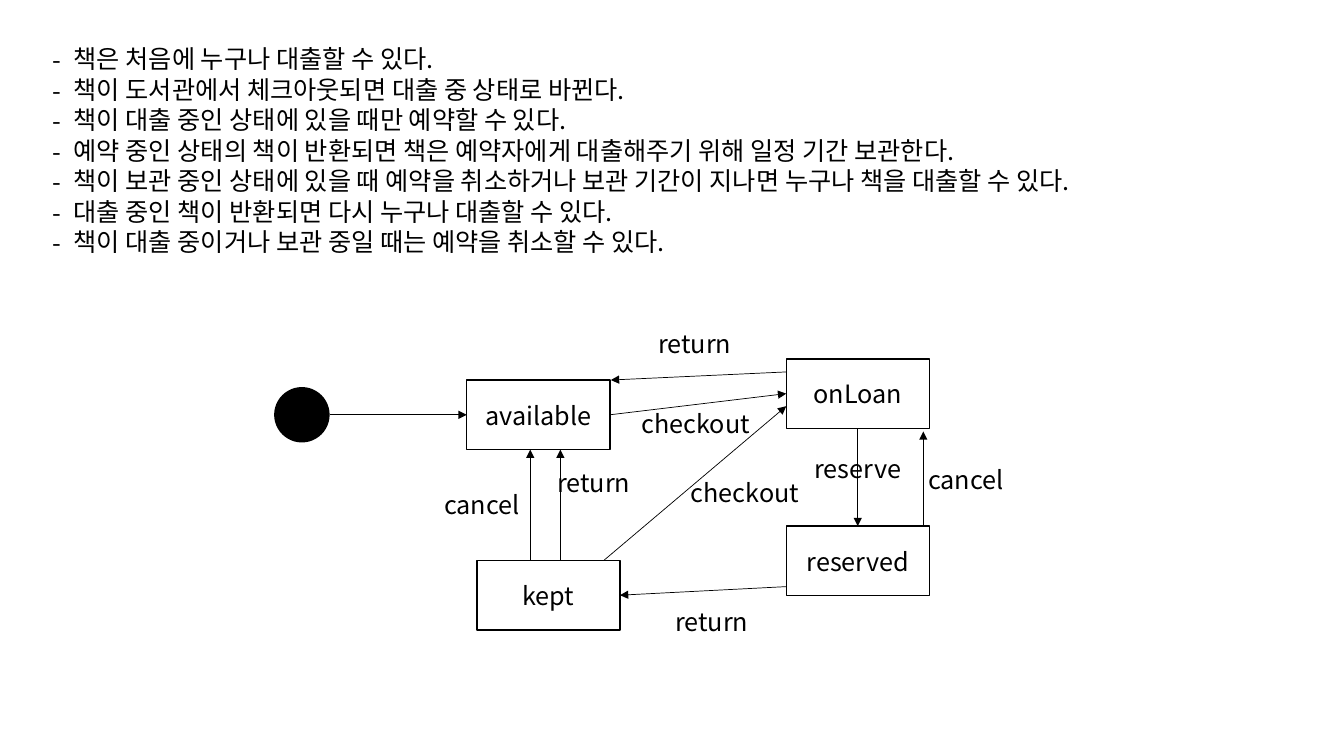
from lxml import etree
from pptx import Presentation
from pptx.dml.color import RGBColor
from pptx.enum.shapes import MSO_CONNECTOR, MSO_SHAPE
from pptx.enum.text import MSO_ANCHOR, MSO_AUTO_SIZE, PP_ALIGN
from pptx.oxml.ns import qn
from pptx.util import Inches, Pt

RECT, OVAL = MSO_SHAPE.RECTANGLE, MSO_SHAPE.OVAL
STRAIGHT = MSO_CONNECTOR.STRAIGHT
TOP, MIDDLE = MSO_ANCHOR.TOP, MSO_ANCHOR.MIDDLE
NO_FIT = MSO_AUTO_SIZE.NONE
LEFT, CENTER = PP_ALIGN.LEFT, PP_ALIGN.CENTER
BLACK = RGBColor(0, 0, 0)
FONT = "Noto Sans CJK KR"
W, H = Inches(13.33), Inches(7.5)
COL, ROW = W / 100, H / 100
BOX_W, BOX_H, LABEL_H = 10.65, 9.2, 5.33
SITE_TOP, SITE_LEFT, SITE_BOTTOM, SITE_RIGHT = range(4)

RULES = [
    "책은 처음에 누구나 대출할 수 있다.",
    "책이 도서관에서 체크아웃되면 대출 중 상태로 바뀐다.",
    "책이 대출 중인 상태에 있을 때만 예약할 수 있다.",
    "예약 중인 상태의 책이 반환되면 책은 예약자에게 대출해주기 위해 일정 기간 보관한다.",
    "책이 보관 중인 상태에 있을 때 예약을 취소하거나 보관 기간이 지나면 누구나 책을 대출할 수 있다.",
    "대출 중인 책이 반환되면 다시 누구나 대출할 수 있다.",
    "책이 대출 중이거나 보관 중일 때는 예약을 취소할 수 있다.",
]
STATES = {
    "reserved": (58.5, 69.6),
    "available": (34.73, 50.27),
    "onLoan": (58.5, 47.47),
    "kept": (35.48, 74.13),
}
LABELS = [
    ("return", 46.36, 42.67),
    ("checkout", 46.44, 53.33),
    ("checkout", 50.11, 62.4),
    ("reserve", 58.5, 59.2),
    ("cancel", 66.54, 60.67),
    ("return", 47.64, 79.47),
    ("cancel", 30.53, 64),
    ("return", 38.86, 61.07),
]
ARROWS = [
    ((24.53, 54.87), ("available", SITE_LEFT)),
    ((58.5, 49.2), (45.45, 50.27)),
    ((58.5, 77.6), ("kept", SITE_RIGHT)),
    ((68.7, 69.6), (68.7, 57.07)),
    ((41.7, 74.13), (41.7, 59.47)),
    ((39.45, 74.13), (39.45, 59.47)),
    ((44.93, 74.13), (58.5, 53.73)),
    (("available", SITE_RIGHT), ("onLoan", SITE_LEFT)),
    (("onLoan", SITE_BOTTOM), ("reserved", SITE_TOP)),
]


def apply(obj, **values):
    for name, value in values.items():
        setattr(obj, name, value)


def place(x, y, w, h):
    return [round(v) for v in (x * COL, y * ROW, w * COL, h * ROW)]


def write(tf, lines, align, anchor):
    apply(tf, word_wrap=True, auto_size=NO_FIT, vertical_anchor=anchor)
    for i, line in enumerate(lines):
        p = tf.paragraphs[0] if i == 0 else tf.add_paragraph()
        apply(p, alignment=align, line_spacing=Pt(21.8),
              space_before=Pt(0), space_after=Pt(0))
        r = p.add_run()
        r.text = line
        apply(r.font, name=FONT, size=Pt(18))
        r.font.color.rgb = BLACK
        etree.SubElement(r.font._element, qn("a:ea"), typeface=FONT)


def add_list(s, lines, area):
    sp = s.placeholders[1]
    apply(sp, **dict(zip(("left", "top", "width", "height"), place(*area))))
    write(sp.text_frame, lines, LEFT, TOP)
    for p in sp.text_frame.paragraphs:
        pPr = p._p.get_or_add_pPr()
        pPr.set("marL", str(Inches(0.21)))
        pPr.set("indent", str(-Inches(0.21)))
        etree.SubElement(pPr, qn("a:buFont"), typeface=FONT)
        etree.SubElement(pPr, qn("a:buChar"), char="-")


def add_state(s, name, x, y):
    sp = s.shapes.add_shape(RECT, *place(x, y, BOX_W, BOX_H))
    sp.shadow.inherit = False
    sp.fill.background()
    sp.line.color.rgb = BLACK
    sp.line.width = Pt(1)
    write(sp.text_frame, [name], CENTER, MIDDLE)
    return sp


def add_start(s, x, y, w, h):
    sp = s.shapes.add_shape(OVAL, *place(x, y, w, h))
    sp.shadow.inherit = False
    sp.fill.solid()
    sp.fill.fore_color.rgb = BLACK
    sp.line.fill.background()


def add_label(s, text, x, y):
    sp = s.shapes.add_textbox(*place(x, y, BOX_W, LABEL_H))
    write(sp.text_frame, [text], CENTER, TOP)


def add_arrow(s, states, begin, end):
    points = [(0, 0) if p[0] in states else p for p in (begin, end)]
    cxn = s.shapes.add_connector(STRAIGHT, *place(*points[0], *points[1]))
    for point, join in ((begin, cxn.begin_connect), (end, cxn.end_connect)):
        if point[0] in states:
            join(states[point[0]], point[1])
    cxn.line.color.rgb = BLACK
    cxn.line.width = Pt(0.5)
    etree.SubElement(cxn.line._get_or_add_ln(), qn("a:tailEnd"), type="triangle")
    etree.SubElement(cxn._element.spPr, qn("a:effectLst"))


def main():
    prs = Presentation()
    apply(prs, slide_width=W, slide_height=H)
    s = prs.slides.add_slide(prs.slide_layouts[1])
    title = s.shapes.title._element
    title.getparent().remove(title)
    add_list(s, RULES, (3.15, 5.07, 90.17, 29.6))
    states = {name: add_state(s, name, *at) for name, at in STATES.items()}
    add_start(s, 20.4, 51.2, 4.13, 7.33)
    for begin, end in ARROWS:
        add_arrow(s, states, begin, end)
    for label in LABELS:
        add_label(s, *label)
    prs.save("out.pptx")


if __name__ == "__main__":
    main()
